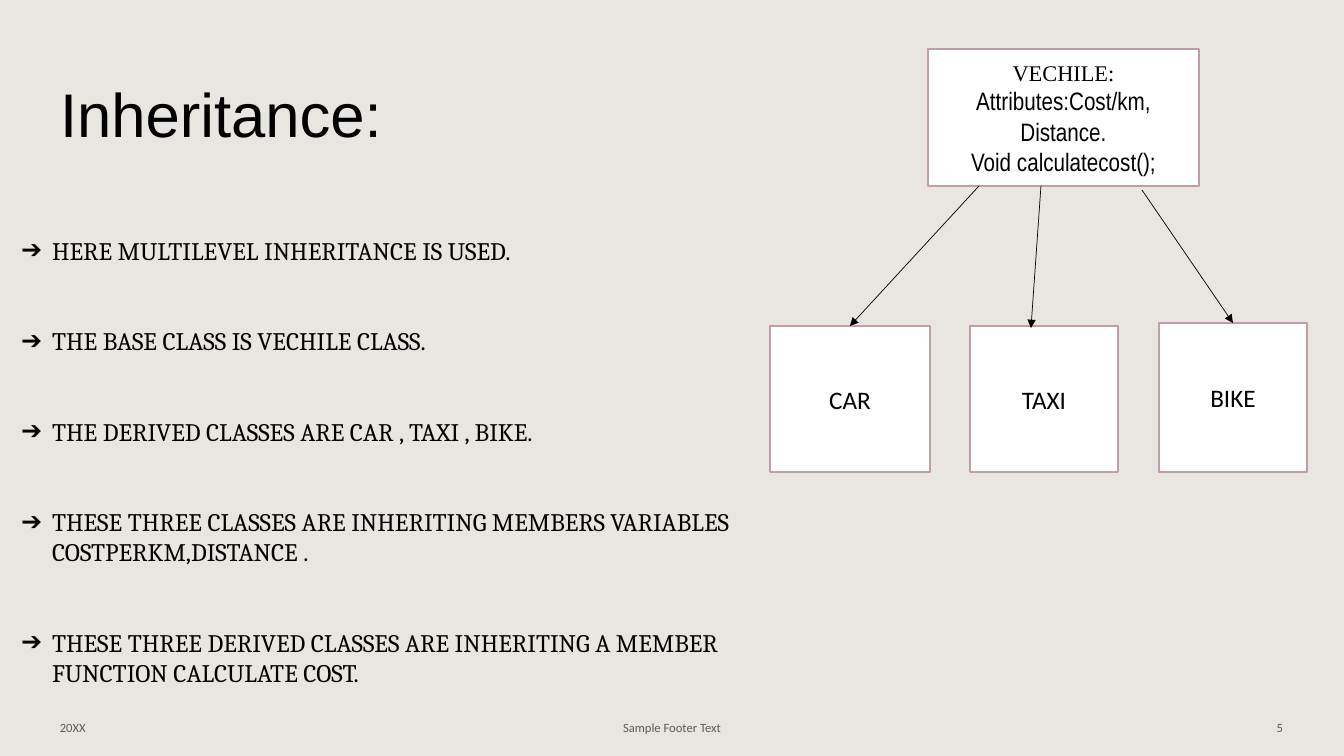
import pptx
import pptx.util
import pptx.dml.color
import pptx.enum.shapes
import pptx.enum.text
import pptx.oxml.ns
from lxml import etree

TITLE = ("Inheritance:", (50, 40, 1202, 146))
POINTS = [
    "HERE MULTILEVEL INHERITANCE IS USED.",
    "THE BASE CLASS IS VECHILE CLASS.",
    "THE DERIVED CLASSES ARE CAR , TAXI , BIKE.",
    "THESE THREE CLASSES ARE INHERITING MEMBERS VARIABLES COSTPERKM,DISTANCE .",
    "THESE THREE DERIVED CLASSES ARE INHERITING A MEMBER FUNCTION CALCULATE COST.",
]
LIST = (11, 230, 754, 499)
BASE = [
    ("VECHILE:", "Times New Roman", 16),
    ("Attributes:Cost/km,", "Arial Narrow", 18),
    ("Distance.", "Arial Narrow", 18),
    ("Void calculatecost();", "Arial Narrow", 18),
]
# name, box, arrow start, arrow end (None: middle of the top side)
KINDS = [
    ("CAR", (770, 326, 160, 146), (979, 186), None),
    ("TAXI", (970, 326, 148, 146), (1041, 186), (1031, 328)),
    ("BIKE", (1159, 323, 148, 149), (1142, 190), None),
]
FOOT = [
    ("20XX", (50, 708, 302, 40), "LEFT"),
    ("Sample Footer Text", (445, 708, 454, 40), "CENTER"),
    ("5", (991, 708, 302, 40), "RIGHT"),
]
HUES = {"back": "E9E5E1", "text": "000000", "foot": "5D5C5A",
        "fill": "FFFFFF", "edge": "C19DA7"}
SCALE = 914400 / 100.8
ALIGN = pptx.enum.text.PP_ALIGN
MIDDLE = pptx.enum.text.MSO_ANCHOR.MIDDLE


def px(n):
    return pptx.util.Emu(round(n * SCALE))


def hue(name):
    return pptx.dml.color.RGBColor.from_string(HUES[name])


def place(shape, box):
    shape.left, shape.top, shape.width, shape.height = map(px, box)


def write(shape, lines, align="LEFT", color="text", anchor=MIDDLE):
    """Fill a shape with one paragraph for each (text, font, size)."""
    frame = shape.text_frame
    frame.word_wrap = True
    frame.auto_size = pptx.enum.text.MSO_AUTO_SIZE.NONE
    frame.vertical_anchor = anchor
    for i, (text, font, size) in enumerate(lines):
        para = frame.add_paragraph() if i else frame.paragraphs[0]
        para.alignment = ALIGN[align]
        para.space_before = pptx.util.Pt(0)
        run = para.add_run()
        run.text = text
        run.font.name = font
        run.font.size = pptx.util.Pt(size)
        run.font.color.rgb = hue(color)


def card(box, lines):
    shape = slide.shapes.add_shape(
        pptx.enum.shapes.MSO_SHAPE.RECTANGLE, *map(px, box))
    shape.shadow.inherit = False
    shape.fill.solid()
    shape.fill.fore_color.rgb = hue("fill")
    shape.line.color.rgb = hue("edge")
    shape.line.width = pptx.util.Pt(1)
    write(shape, lines, "CENTER")
    return shape


def arrow(start, end, goal):
    """Draw an arrow to end, or joined to the top of goal."""
    line = slide.shapes.add_connector(
        pptx.enum.shapes.MSO_CONNECTOR.STRAIGHT,
        *map(px, start + (end or start)))
    if end is None:
        line.end_connect(goal, 0)
    line.line.color.rgb = hue("text")
    line.line.width = pptx.util.Pt(0.5)
    qn = pptx.oxml.ns.qn
    etree.SubElement(line.line._get_or_add_ln(), qn("a:tailEnd"), type="triangle")
    etree.SubElement(line._element.spPr, qn("a:effectLst"))


def bullet(para):
    props = para._p.get_or_add_pPr()
    props.set("marL", str(px(31)))
    props.set("indent", str(px(-31)))
    qn = pptx.oxml.ns.qn
    etree.SubElement(props, qn("a:buFont"), typeface="Arial")
    etree.SubElement(props, qn("a:buChar"), char="➔")


deck = pptx.Presentation()
deck.slide_width, deck.slide_height = px(1344), px(756)
slide = deck.slides.add_slide(deck.slide_layouts[1])
slide.background.fill.solid()
slide.background.fill.fore_color.rgb = hue("back")

title, body = slide.placeholders
place(title, TITLE[1])
write(title, [(TITLE[0], "Arial", 44)])
place(body, LIST)
write(body, [(text, "Cambria", 18) for text in POINTS],
      anchor=pptx.enum.text.MSO_ANCHOR.TOP)
for para in body.text_frame.paragraphs:
    para.space_after = pptx.util.Pt(43)
    bullet(para)

for text, box, align in FOOT:
    note = slide.shapes.add_textbox(*map(px, box))
    write(note, [(text, "Calibri", 9)], align, "foot")

card((928, 49, 271, 137), BASE)
cards = [card(box, [(name, "Calibri", 18)]) for name, box, _, _ in KINDS]
for goal, (_, _, start, end) in zip(cards, KINDS):
    arrow(start, end, goal)

deck.save("out.pptx")
